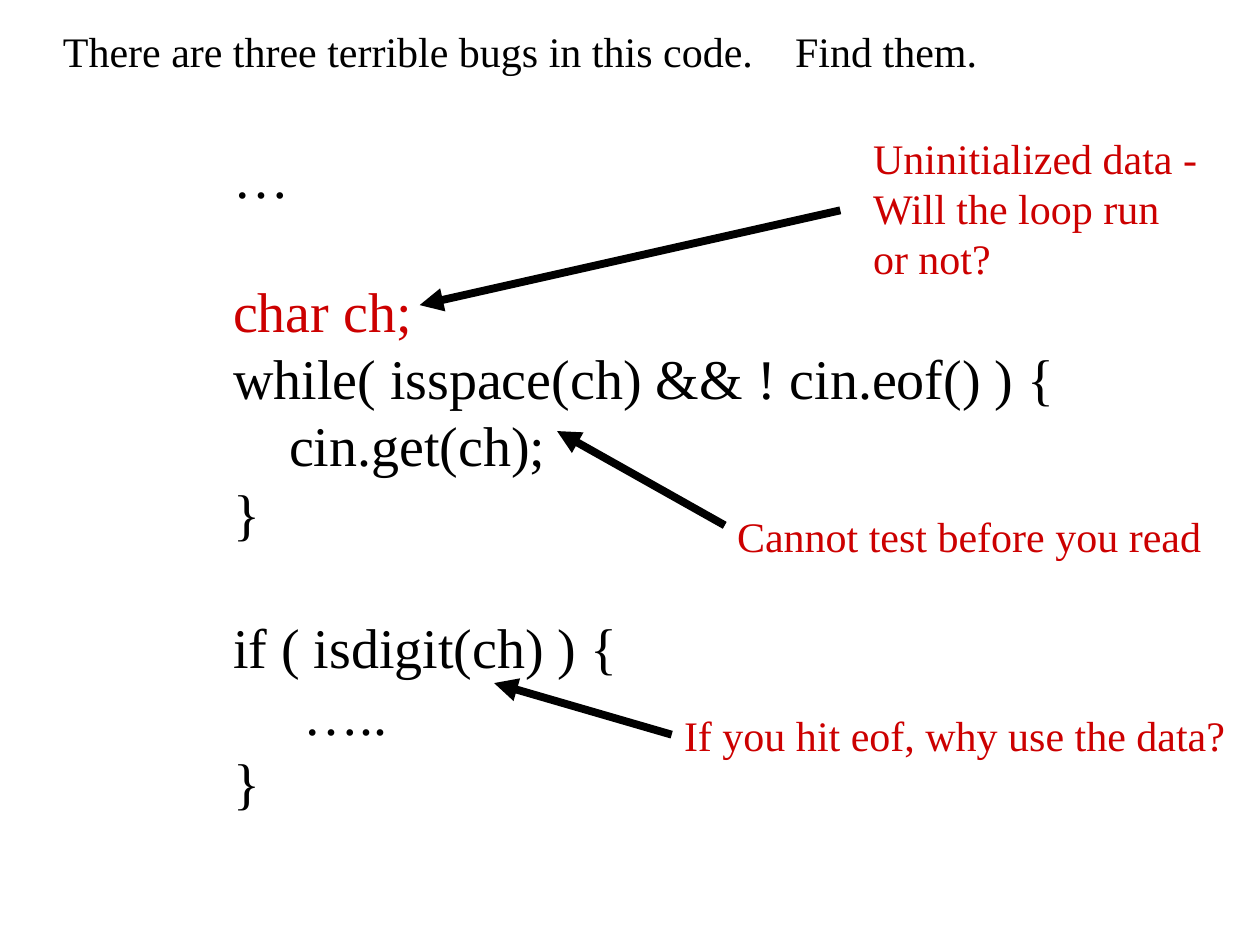
from lxml.etree import SubElement
from pptx import Presentation
from pptx.dml.color import RGBColor
from pptx.enum.shapes import MSO_CONNECTOR
from pptx.oxml.ns import qn
from pptx.util import Cm, Pt

BLACK, RED = "000000", "CC0000"
LINE_FACTOR = 1.2


def color(hex_value):
    """Turn a hex string into a colour."""
    return RGBColor.from_string(hex_value)


def add_text(slide, box, lines, size):
    """Add a text box of (text, colour, indent in points, blank lines before)."""
    frame = slide.shapes.add_textbox(*map(Cm, box)).text_frame
    frame.word_wrap = True
    for number, (text, hex_value, indent, gap) in enumerate(lines):
        paragraph = frame.paragraphs[0] if number == 0 else frame.add_paragraph()
        paragraph.line_spacing = Pt(size * LINE_FACTOR)
        paragraph.space_before = Pt(size * LINE_FACTOR * gap)
        run = paragraph.add_run()
        run.text = text
        font_format = {"name": "Times New Roman", "size": Pt(size)}
        for attribute, value in font_format.items():
            setattr(run.font, attribute, value)
        run.font.color.rgb = color(hex_value)
        paragraph._p.get_or_add_pPr().set("marL", str(Pt(indent)))
    return frame


presentation = Presentation()
presentation.slide_width, presentation.slide_height = Cm(25.4), Cm(19.05)
slide = presentation.slides.add_slide(presentation.slide_layouts[6])

task = add_text(
    slide, (1.02, 0.38, 19, 1.27),
    [("There are three terrible bugs in this code.\tFind them.", BLACK, 0, 0)], 24)
tab_list = SubElement(task.paragraphs[0]._p.get_or_add_pPr(), qn("a:tabLst"))
SubElement(tab_list, qn("a:tab"), pos=str(Cm(14.76)), algn="l")

code_lines = [
    ("…", BLACK, 0, 0),
    ("char ch;", RED, 0, 1),
    ("while( isspace(ch) && ! cin.eof() ) {", BLACK, 0, 0),
    ("cin.get(ch);", BLACK, 32, 0),
    ("}", BLACK, 0, 0),
    ("if ( isdigit(ch) ) {", BLACK, 0, 1),
    ("…..", BLACK, 40, 0),
    ("}", BLACK, 0, 0),
]
add_text(slide, (4.45, 2.74, 17.2, 13.82), code_lines, 32)

# Each bug: explanation, its box, and the arrow to the faulty code
bugs = [
    ("Uninitialized data - Will the loop run or not?",
     (17.35, 2.54, 7.19, 3.3), (16.94, 4.24, 8.46, 6.15)),
    ("Cannot test before you read",
     (14.61, 10.16, 9.95, 1.27), (14.61, 10.59, 11.23, 8.69)),
    ("If you hit eof, why use the data?",
     (13.54, 14.17, 11.5, 1.27), (13.54, 14.81, 9.96, 13.77)),
]
for explanation, box, ends in bugs:
    add_text(slide, box, [(explanation, RED, 0, 0)], 24)
    arrow = slide.shapes.add_connector(MSO_CONNECTOR.STRAIGHT, *map(Cm, ends))
    arrow.line.width = Pt(4.5)
    arrow.line.color.rgb = color(BLACK)
    SubElement(arrow.line._get_or_add_ln(), qn("a:tailEnd"), type="triangle")
    SubElement(arrow._element.spPr, qn("a:effectLst"))

presentation.save("out.pptx")
